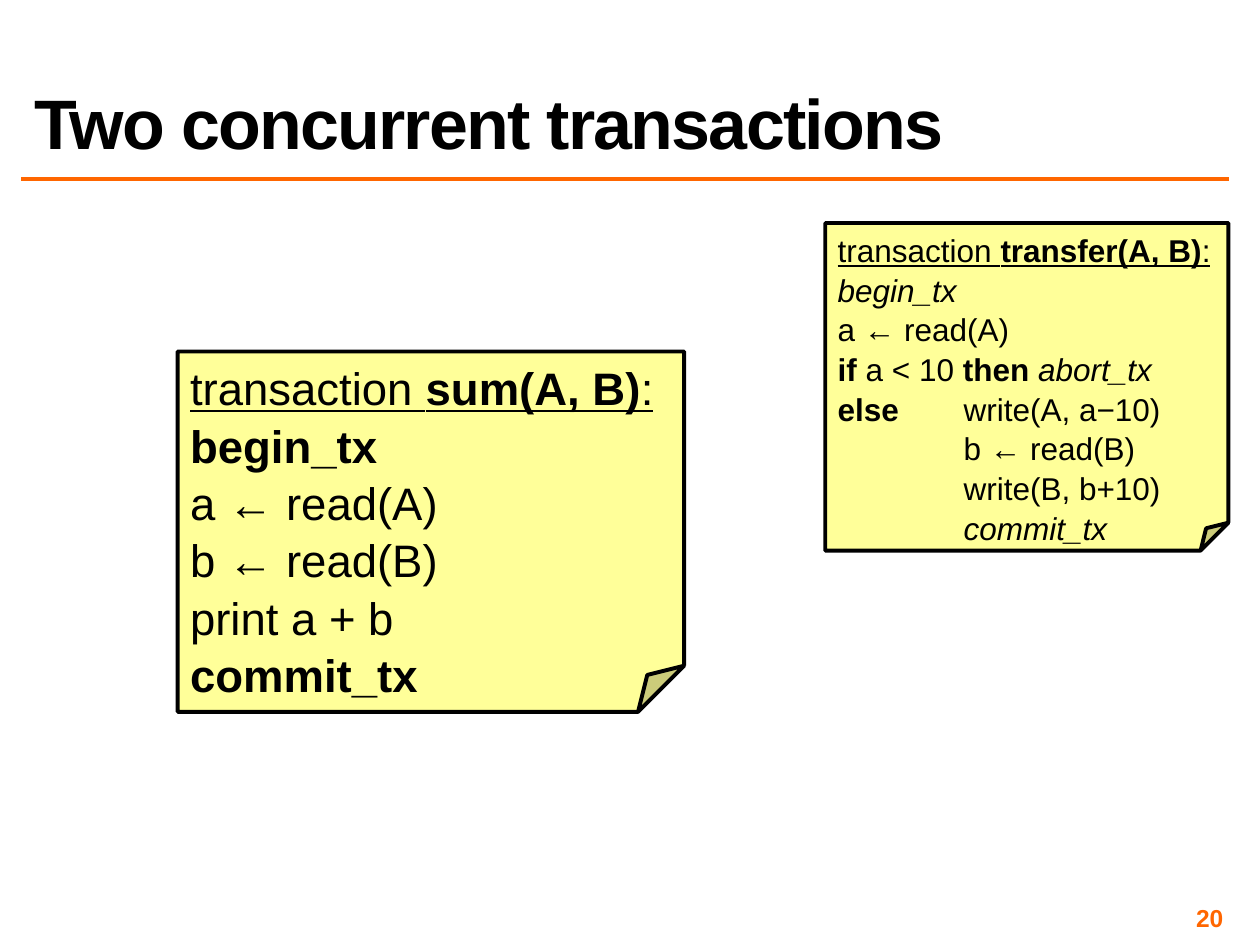
from pptx import Presentation
from pptx.dml.color import RGBColor
from pptx.enum.shapes import MSO_CONNECTOR, MSO_SHAPE
from pptx.enum.text import MSO_ANCHOR, MSO_AUTO_SIZE, PP_ALIGN
from pptx.oxml.ns import qn
from pptx.util import Inches, Pt
from lxml.etree import SubElement

ORANGE, BLACK, YELLOW = "FF6600", "000000", "FFFF99"


def color(hex_code):
    return RGBColor.from_string(hex_code)


def add_text(paragraph, text, size, ink=BLACK, bold=False, italic=False,
             underline=False, tracking=None):
    run = paragraph.add_run()
    run.text = text
    font = run.font
    font.name, font.size = "Arial", Pt(size)
    font.bold, font.italic, font.underline = bold, italic, underline
    font.color.rgb = color(ink)
    if tracking is not None:
        run._r.get_or_add_rPr().set("spc", str(int(tracking * 100)))


class TransactionSlide:
    def __init__(self, deck):
        self.slide = deck.slides.add_slide(deck.slide_layouts[5])
        self.shapes = self.slide.shapes

    def title(self, text, left, top, width, height):
        heading = self.shapes.title
        heading.left, heading.top = Inches(left), Inches(top)
        heading.width, heading.height = Inches(width), Inches(height)
        frame = heading.text_frame
        frame.auto_size = MSO_AUTO_SIZE.NONE
        frame.vertical_anchor = MSO_ANCHOR.BOTTOM
        paragraph = frame.paragraphs[0]
        paragraph.alignment = PP_ALIGN.LEFT
        paragraph.line_spacing = 0.8
        add_text(paragraph, text, 40, bold=True, tracking=-1)

    def rule(self, left, right, y):
        divider = self.shapes.add_connector(
            MSO_CONNECTOR.STRAIGHT, Inches(left), Inches(y), Inches(right), Inches(y))
        divider.line.color.rgb = color(ORANGE)
        divider.line.width = Pt(2)
        SubElement(divider._element.spPr, qn("a:effectLst"))

    def page_number(self, text, left, top, width, height):
        box = self.shapes.add_textbox(
            Inches(left), Inches(top), Inches(width), Inches(height))
        frame = box.text_frame
        frame.word_wrap = True
        frame.vertical_anchor = MSO_ANCHOR.MIDDLE
        frame.margin_left = frame.margin_right = Inches(0.04)
        frame.margin_top = frame.margin_bottom = Inches(0.04)
        frame.paragraphs[0].alignment = PP_ALIGN.RIGHT
        add_text(frame.paragraphs[0], text, 14, ink=ORANGE, bold=True)

    def note(self, signature, steps, left, top, width, height, fold, size):
        card = self.shapes.add_shape(
            MSO_SHAPE.FOLDED_CORNER, Inches(left), Inches(top), Inches(width), Inches(height))
        guides = card._element.spPr.find(qn("a:prstGeom")).get_or_add_avLst()
        SubElement(guides, qn("a:gd"), name="adj", fmla=f"val {round(fold * 100000)}")
        card.shadow.inherit = False
        card.fill.solid()
        card.fill.fore_color.rgb = color(YELLOW)
        card.line.color.rgb = color(BLACK)
        card.line.width = Pt(2.25)
        frame = card.text_frame
        frame.word_wrap = True
        frame.vertical_anchor = MSO_ANCHOR.TOP
        heading = [("transaction ", "u"), (signature, "ub"), (":", "u")]
        for index, pieces in enumerate([heading, *steps]):
            paragraph = frame.add_paragraph() if index else frame.paragraphs[0]
            paragraph.alignment = PP_ALIGN.LEFT
            paragraph.line_spacing = 1.05
            if any("\t" in text for text, _ in pieces):
                stops = SubElement(paragraph._p.get_or_add_pPr(), qn("a:tabLst"))
                SubElement(stops, qn("a:tab"), pos=str(int(Inches(1))), algn="l")
            for text, style in pieces:
                add_text(paragraph, text, size, bold="b" in style,
                         italic="i" in style, underline="u" in style)


deck = Presentation()
deck.slide_width, deck.slide_height = Inches(10), Inches(7.5)
page = TransactionSlide(deck)
page.rule(0.17, 9.75, 1.42)
page.page_number("20", 7.42, 7.17, 2.33, 0.23)
page.title("Two concurrent transactions", 0.17, 0.17, 9.58, 1.17)

sum_steps = [
    [("begin_tx", "b")],
    [("a ← read(A)", "")],
    [("b ← read(B)", "")],
    [("print a + b", "")],
    [("commit_tx", "b")],
]
transfer_steps = [
    [("begin_tx", "i")],
    [("a ← read(A)", "")],
    [("if", "b"), (" a < 10 ", ""), ("then ", "b"), ("abort_tx", "i")],
    [("else\t", "b"), ("write(A, a−10)", "")],
    [("\tb ← read(B)", "")],
    [("\twrite(B, b+10)", "")],
    [("\t", "b"), ("commit_tx", "i")],
]
page.note("sum(A, B)", sum_steps, 1.41, 2.79, 4.02, 2.86, fold=0.128, size=26)
page.note("transfer(A, B)", transfer_steps, 6.55, 1.77, 3.2, 2.6, fold=0.085, size=18)

deck.save("out.pptx")
